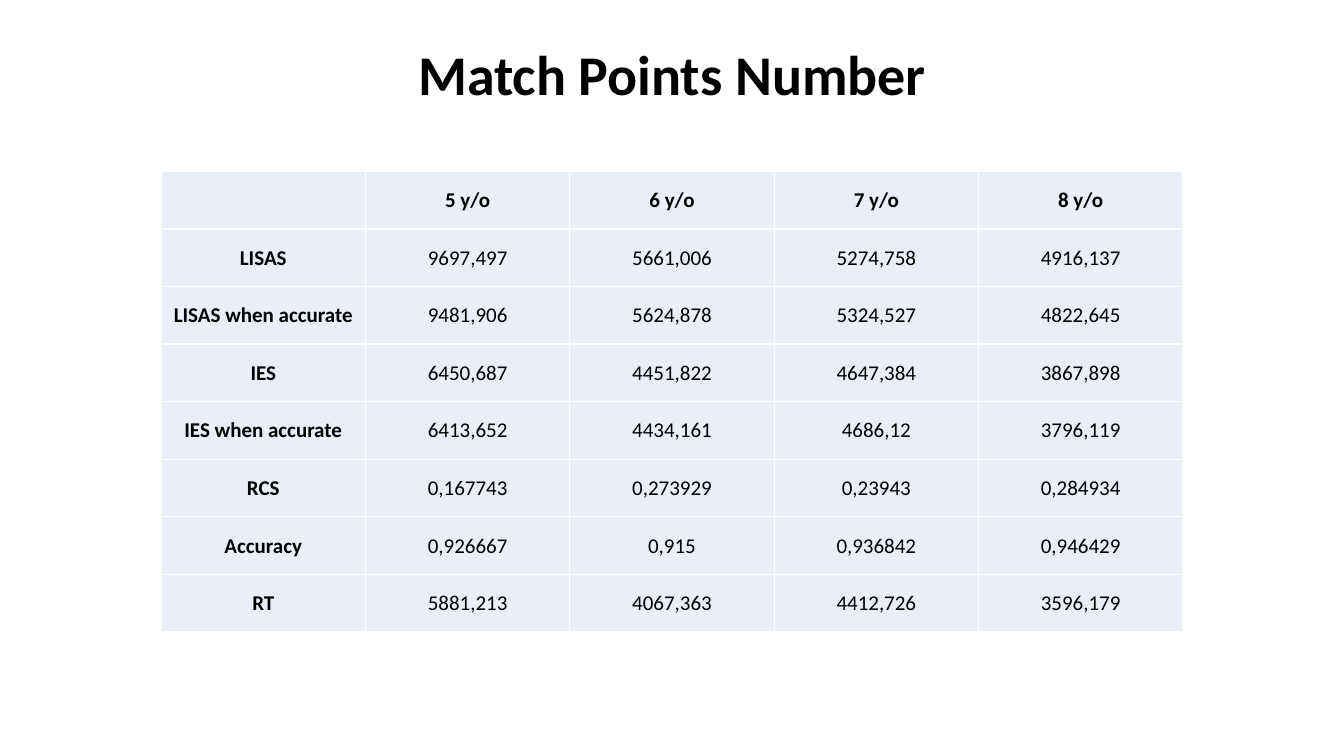
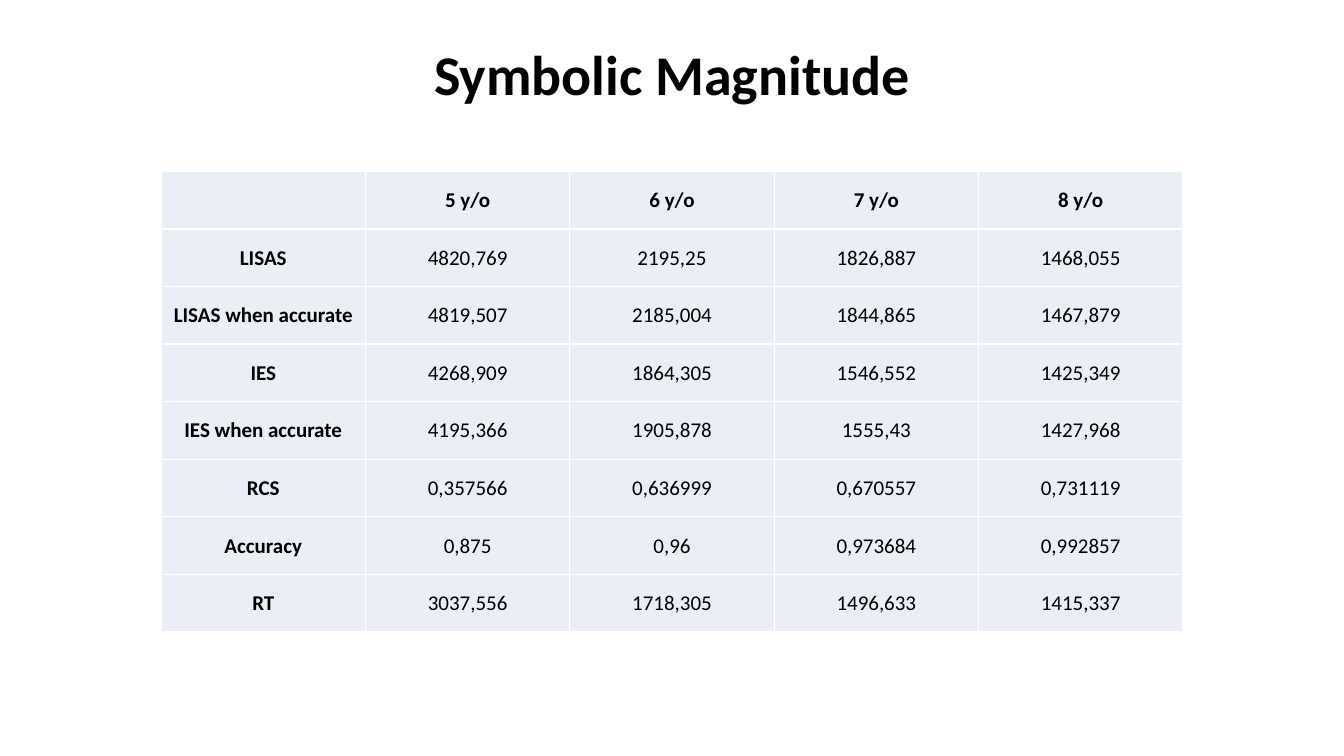
from lxml import etree
from pptx import Presentation
from pptx.dml.color import RGBColor
from pptx.enum import text
from pptx.oxml import ns
from pptx.util import Cm, Pt

AGES = ["5 y/o", "6 y/o", "7 y/o", "8 y/o"]
MEASURES = ["LISAS", "LISAS when accurate", "IES", "IES when accurate",
            "RCS", "Accuracy", "RT"]
TASKS = {
    "Match Points Number": [
        ("9697,497", "5661,006", "5274,758", "4916,137"),
        ("9481,906", "5624,878", "5324,527", "4822,645"),
        ("6450,687", "4451,822", "4647,384", "3867,898"),
        ("6413,652", "4434,161", "4686,12", "3796,119"),
        ("0,167743", "0,273929", "0,23943", "0,284934"),
        ("0,926667", "0,915", "0,936842", "0,946429"),
        ("5881,213", "4067,363", "4412,726", "3596,179"),
    ],
    "Symbolic Magnitude": [
        ("4820,769", "2195,25", "1826,887", "1468,055"),
        ("4819,507", "2185,004", "1844,865", "1467,879"),
        ("4268,909", "1864,305", "1546,552", "1425,349"),
        ("4195,366", "1905,878", "1555,43", "1427,968"),
        ("0,357566", "0,636999", "0,670557", "0,731119"),
        ("0,875", "0,96", "0,973684", "0,992857"),
        ("3037,556", "1718,305", "1496,633", "1415,337"),
    ],
}

COLORS = {"text": "000000", "cell": "EAEFF7", "border": "FFFFFF"}
FONT = "Calibri"
TABLE_LEFT, TABLE_TOP = Cm(4.06), Cm(4.32)
COLUMN_WIDTH, ROW_HEIGHT = Cm(5.15), Cm(1.45)
CELL_MARGIN = Cm(0.02)


def style_paragraph(paragraph, size, bold):
    paragraph.alignment = text.PP_ALIGN.CENTER
    font = paragraph.font
    font.name, font.size, font.bold = FONT, Pt(size), bold
    font.color.rgb = RGBColor.from_string(COLORS["text"])


def add_borders(cell):
    properties = cell._tc.get_or_add_tcPr()
    for side in ("lnL", "lnR", "lnT", "lnB"):
        line = etree.SubElement(properties, ns.qn(f"a:{side}"), w=str(Pt(1)))
        fill = etree.SubElement(line, ns.qn("a:solidFill"))
        etree.SubElement(fill, ns.qn("a:srgbClr"), val=COLORS["border"])


def fill_cell(cell, label, bold):
    add_borders(cell)
    cell.fill.solid()
    cell.fill.fore_color.rgb = RGBColor.from_string(COLORS["cell"])
    cell.vertical_anchor = text.MSO_ANCHOR.MIDDLE
    cell.margin_left = cell.margin_right = cell.margin_top = CELL_MARGIN
    cell.margin_bottom = 0
    cell.text = label
    style_paragraph(cell.text_frame.paragraphs[0], 15, bold)


def add_title(slide, heading):
    title = slide.shapes.title
    title.left, title.top = Cm(2.33), Cm(1.02)
    title.width, title.height = Cm(29.21), Cm(1.88)
    frame = title.text_frame
    frame.text = heading
    frame.vertical_anchor = text.MSO_ANCHOR.MIDDLE
    frame.paragraphs[0].line_spacing = 0.9
    style_paragraph(frame.paragraphs[0], 40, True)


def add_score_table(slide, scores):
    rows = [["", *AGES]]
    rows += [[measure, *values] for measure, values in zip(MEASURES, scores)]
    row_count, column_count = len(rows), len(rows[0])
    table = slide.shapes.add_table(
        row_count, column_count, TABLE_LEFT, TABLE_TOP,
        COLUMN_WIDTH * column_count, ROW_HEIGHT * row_count).table
    table.first_row = table.horz_banding = False
    for r, row in enumerate(rows):
        for c, label in enumerate(row):
            fill_cell(table.cell(r, c), label, bold=r == 0 or c == 0)


def main():
    deck = Presentation()
    deck.slide_width, deck.slide_height = Cm(33.87), Cm(19.05)
    title_only = deck.slide_layouts[5]
    for heading, scores in TASKS.items():
        slide = deck.slides.add_slide(title_only)
        add_title(slide, heading)
        add_score_table(slide, scores)
    deck.save("out.pptx")


if __name__ == "__main__":
    main()
